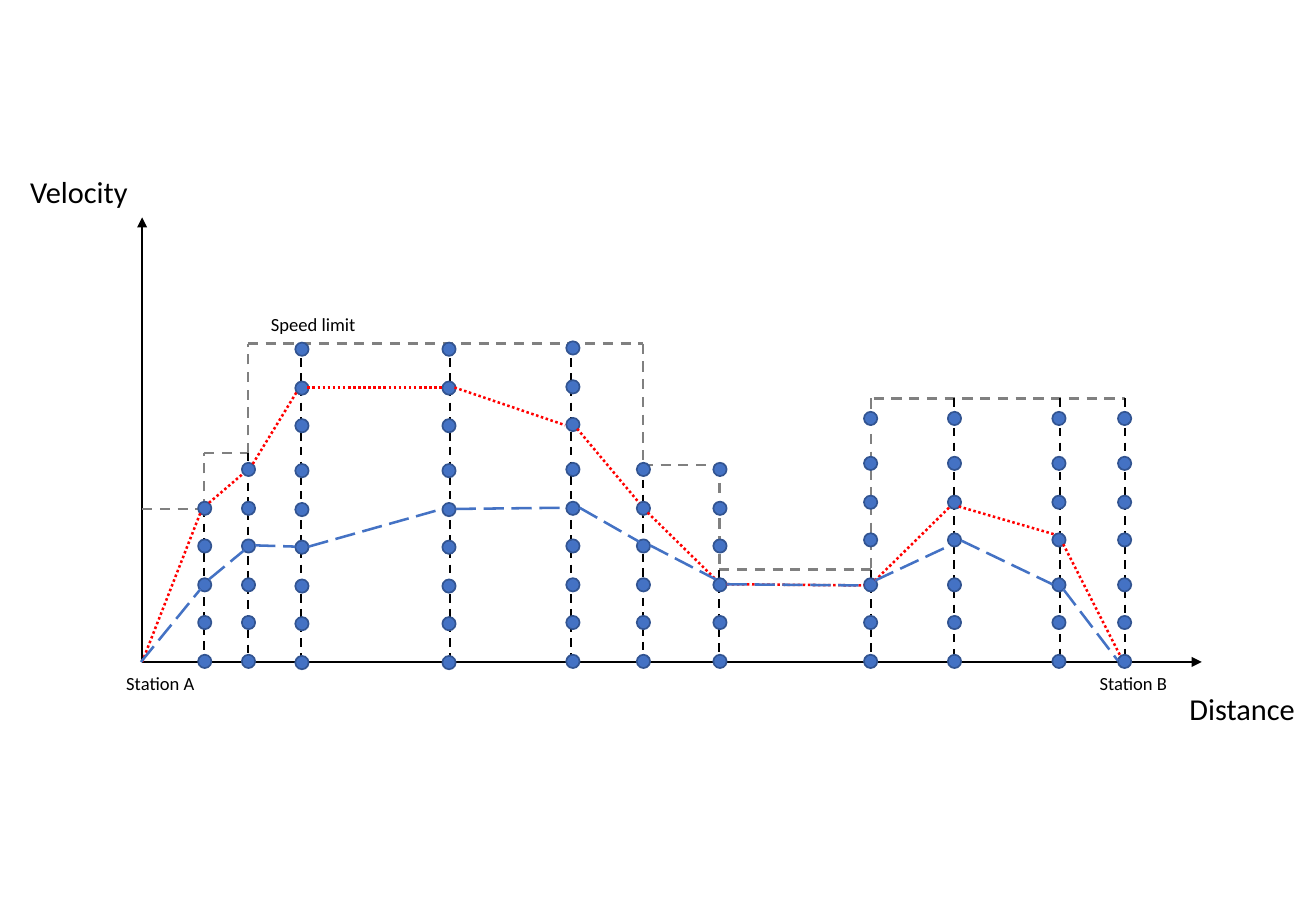
from itertools import pairwise

from lxml import etree
from pptx import Presentation
from pptx import util as u
from pptx.dml.color import RGBColor
from pptx.enum import dml, shapes, text
from pptx.oxml.ns import qn

BLACK, GRAY, RED, BLUE, DARK_BLUE = "000000", "808080", "FF0000", "4472C4", "325491"
DASH = dml.MSO_LINE.DASH
DOT_SIZE = 0.11
ORIGIN_X, AXIS_Y = 1.17, 5.45

LABELS = [
    ("Distance", 9.69, 5.63, 1.14, 0.4, 18),
    ("Velocity", 0.15, 1.38, 1.14, 0.4, 18),
    ("Speed limit", 2.13, 2.53, 0.99, 0.29, 11),
    ("Station A", 0.94, 5.48, 0.79, 0.29, 11),
    ("Station B", 8.95, 5.48, 0.79, 0.29, 11),
]

SPEED_LIMITS = [
    [(1.17, 4.19), (1.68, 4.19), (1.68, 3.73), (2.04, 3.73), (2.04, 2.83),
     (5.29, 2.83), (5.29, 3.83), (5.92, 3.83), (5.92, 4.69), (7.19, 4.69)],
    [(7.17, 3.28), (7.17, 4.69)],
    [(7.19, 3.28), (9.26, 3.28)],
]

LEFT_LEVELS = [5.39, 5.07, 4.76, 4.44, 4.13, 3.81, 3.44, 3.13, 2.81]
RIGHT_LEVELS = [5.39, 5.07, 4.76, 4.39, 4.08, 3.76, 3.39]

# Each stage: line x, line top, dot left, dot shift, dot levels
STAGES = [
    (1.68, 4.19, 1.63, 0, LEFT_LEVELS[:5]),
    (2.04, 3.73, 1.99, 0, LEFT_LEVELS[:6]),
    (2.48, 2.83, 2.43, 0.01, LEFT_LEVELS),
    (3.70, 2.83, 3.64, 0.01, LEFT_LEVELS),
    (4.70, 2.83, 4.66, 0, LEFT_LEVELS),
    (5.29, 3.83, 5.24, 0, LEFT_LEVELS[:6]),
    (5.92, 4.69, 5.87, 0, LEFT_LEVELS[:6]),
    (7.17, 4.69, 7.11, 0, RIGHT_LEVELS),
    (7.85, 3.28, 7.80, 0, RIGHT_LEVELS),
    (8.72, 3.28, 8.66, 0, RIGHT_LEVELS),
    (9.26, 3.28, 9.20, 0, RIGHT_LEVELS),
]

FAST_PROFILE = [
    (1.17, 5.45, 1.65, 4.22), (1.72, 4.14, 2.00, 3.90), (2.08, 3.82, 2.44, 3.23),
    (2.53, 3.19, 3.64, 3.19), (3.74, 3.19, 4.65, 3.50), (4.75, 3.53, 5.26, 4.14),
    (5.33, 4.22, 5.89, 4.77), (5.98, 4.81, 7.11, 4.82), (7.20, 4.78, 7.82, 4.17),
    (7.89, 4.17, 8.68, 4.40), (8.75, 4.48, 9.22, 5.40),
]
SLOW_PROFILE = [
    (1.16, 5.45, 1.65, 4.85), (1.72, 4.77, 2.01, 4.53), (2.10, 4.49, 2.43, 4.50),
    (2.54, 4.50, 3.64, 4.19), (3.75, 4.19, 4.66, 4.18), (4.77, 4.18, 5.26, 4.46),
    (5.35, 4.49, 5.89, 4.77), (5.98, 4.81, 7.11, 4.82), (7.20, 4.78, 7.82, 4.49),
    (7.91, 4.45, 8.66, 4.81), (8.75, 4.85, 9.20, 5.44),
]


def color(value):
    return RGBColor.from_string(value)


def add_line(slide, x1, y1, x2, y2, line_color, width, dash=None, arrow=False):
    line = slide.shapes.add_connector(
        shapes.MSO_CONNECTOR.STRAIGHT,
        u.Inches(x1), u.Inches(y1), u.Inches(x2), u.Inches(y2))
    line.line.color.rgb = color(line_color)
    line.line.width = u.Pt(width)
    if dash is not None:
        line.line.dash_style = dash
    properties = line._element.spPr
    if arrow:
        etree.SubElement(properties.find(qn("a:ln")), qn("a:tailEnd"), type="triangle")
    etree.SubElement(properties, qn("a:effectLst"))


def add_dot(slide, left, top):
    dot = slide.shapes.add_shape(
        shapes.MSO_SHAPE.OVAL, u.Inches(left), u.Inches(top),
        u.Inches(DOT_SIZE), u.Inches(DOT_SIZE))
    dot.shadow.inherit = False
    dot.fill.solid()
    dot.fill.fore_color.rgb = color(BLUE)
    dot.line.color.rgb = color(DARK_BLUE)
    dot.line.width = u.Pt(1)


def add_label(slide, words, left, top, width, height, size):
    box = slide.shapes.add_textbox(
        u.Inches(left), u.Inches(top), u.Inches(width), u.Inches(height))
    frame = box.text_frame
    frame.word_wrap = True
    frame.auto_size = text.MSO_AUTO_SIZE.SHAPE_TO_FIT_TEXT
    run = frame.paragraphs[0].add_run()
    run.text = words
    run.font.name = "Calibri"
    run.font.size = u.Pt(size)
    run.font.color.rgb = color(BLACK)


def add_profile(slide, segments, line_color, dash):
    for segment in segments:
        add_line(slide, *segment, line_color, 1.5, dash)


def main():
    presentation = Presentation()
    presentation.slide_width = u.Inches(10.83)
    presentation.slide_height = u.Inches(7.5)
    slide = presentation.slides.add_slide(presentation.slide_layouts[6])

    for label in LABELS:
        add_label(slide, *label)
    for end in [(ORIGIN_X, 1.79), (9.89, AXIS_Y)]:
        add_line(slide, ORIGIN_X, AXIS_Y, *end, BLACK, 1, arrow=True)
    for limit in SPEED_LIMITS:
        for start, end in pairwise(limit):
            add_line(slide, *start, *end, GRAY, 1.5, DASH)
    for x, top, dot_left, shift, levels in STAGES:
        add_line(slide, x, top, x, AXIS_Y, BLACK, 1.25, DASH)
        add_line(slide, x, AXIS_Y - 0.04, x, AXIS_Y + 0.04, BLACK, 2)
        for level in levels:
            add_dot(slide, dot_left, level + shift)
    add_profile(slide, FAST_PROFILE, RED, dml.MSO_LINE.ROUND_DOT)
    add_profile(slide, SLOW_PROFILE, BLUE, dml.MSO_LINE.LONG_DASH)

    presentation.save("out.pptx")


if __name__ == "__main__":
    main()
